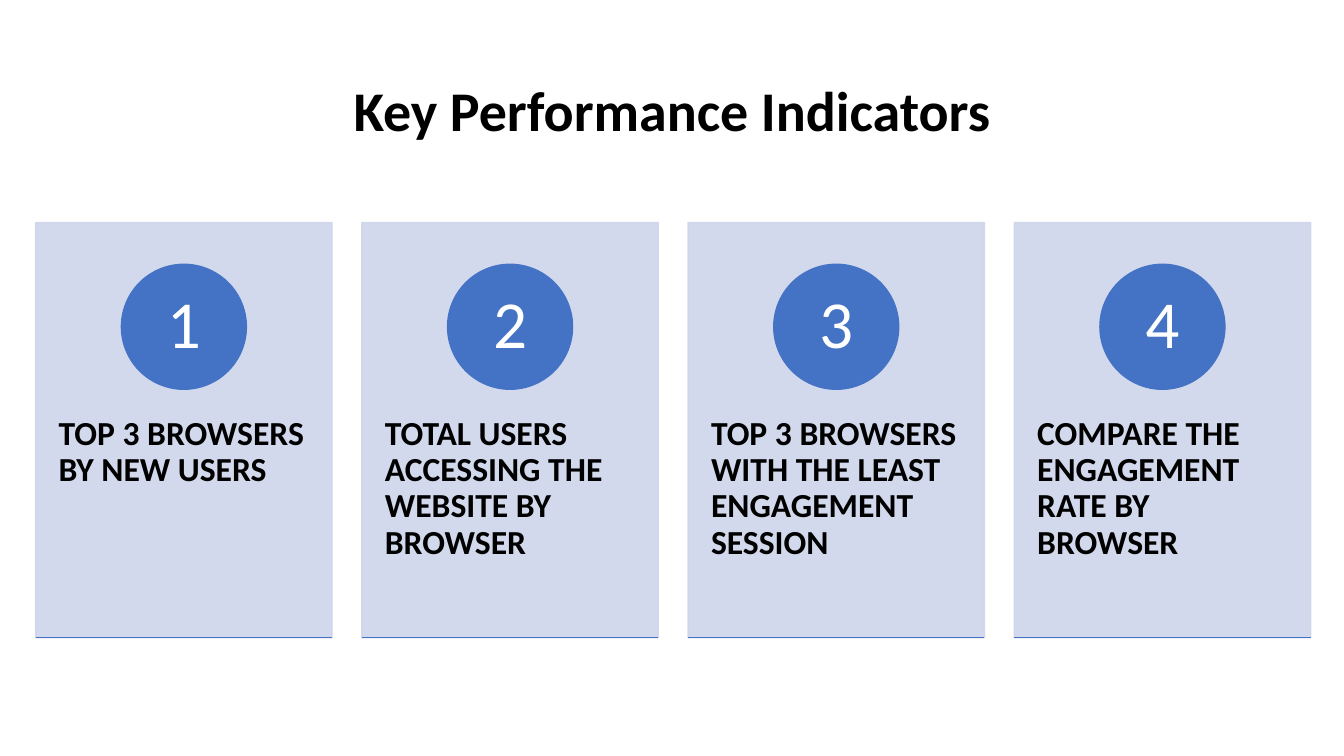
"""Build the Key Performance Indicators slide with four numbered cards."""
import pptx
import pptx.util
import pptx.dml.color
import pptx.enum.shapes
import pptx.enum.text
import pptx.oxml
import pptx.oxml.ns
from pptx.util import Cm

SHAPE = pptx.enum.shapes.MSO_SHAPE
ALIGN = pptx.enum.text.PP_ALIGN
ANCHOR = pptx.enum.text.MSO_ANCHOR
BLUE, PALE = "4472C4", "CFD5EA"


def paint(part, tone):
    part.fill.solid()
    part.fill.fore_color.rgb = pptx.dml.color.RGBColor.from_string(tone)


def write(shape, text, size, tone, bold, align, anchor, pads):
    frame = shape.text_frame
    frame.word_wrap = True
    frame.auto_size = pptx.enum.text.MSO_AUTO_SIZE.NONE
    frame.vertical_anchor = anchor
    side, top = pads
    frame.margin_left = frame.margin_right = Cm(side)
    frame.margin_top, frame.margin_bottom = Cm(top), Cm(0.03)
    frame.text = text
    para = frame.paragraphs[0]
    para.alignment = align
    para.line_spacing = 0.9
    para.font.name = "Calibri"
    para.font.size = pptx.util.Pt(size)
    para.font.bold = bold
    paint(para.font, tone)


deck = pptx.Presentation()
deck.slide_width, deck.slide_height = Cm(33.87), Cm(19.05)
slide = deck.slides.add_slide(deck.slide_layouts[5])
shapes = slide.shapes

title = shapes.title
title.left, title.top, title.width, title.height = Cm(2.33), Cm(1.01), Cm(29.21), Cm(3.68)
write(title, "Key Performance Indicators", 40, "000000", True,
      ALIGN.CENTER, ANCHOR.MIDDLE, (0.25, 0.03))

goals = [
    "TOP 3 BROWSERS BY NEW USERS",
    "TOTAL USERS ACCESSING THE WEBSITE BY BROWSER",
    "TOP 3 BROWSERS WITH THE LEAST ENGAGEMENT SESSION",
    "COMPARE THE ENGAGEMENT RATE BY BROWSER",
]
start, step = 0.9, 8.22
top, wide, high, disc = 5.61, 7.47, 10.46, 3.15

for num, goal in enumerate(goals):
    left = start + num * step

    card = shapes.add_shape(SHAPE.RECTANGLE, Cm(left), Cm(top), Cm(wide), Cm(high))
    card.shadow.inherit = False
    paint(card, PALE)
    paint(card.line, PALE)
    card.line.width = pptx.util.Pt(1)
    for color in card.element.spPr.iter(pptx.oxml.ns.qn("a:srgbClr")):
        alpha = pptx.oxml.xmlchemy.OxmlElement("a:alpha")
        alpha.set("val", "90000")
        color.append(alpha)
    write(card, goal, 24, "000000", True, ALIGN.LEFT, ANCHOR.TOP, (0.58, 4.88))

    badge = shapes.add_shape(SHAPE.OVAL, Cm(left + 2.16), Cm(top + 1.05), Cm(disc), Cm(disc))
    badge.shadow.inherit = False
    paint(badge, BLUE)
    paint(badge.line, BLUE)
    badge.line.width = pptx.util.Pt(1)
    write(badge, str(num + 1), 48, "FFFFFF", False,
          ALIGN.CENTER, ANCHOR.MIDDLE, (0.25, 0.03))

    base = shapes.add_connector(pptx.enum.shapes.MSO_CONNECTOR.STRAIGHT,
                                Cm(left), Cm(top + high), Cm(left + wide), Cm(top + high))
    paint(base.line, BLUE)
    base.line.width = pptx.util.Pt(1)
    base.element.spPr.append(pptx.oxml.xmlchemy.OxmlElement("a:effectLst"))

deck.save("out.pptx")
